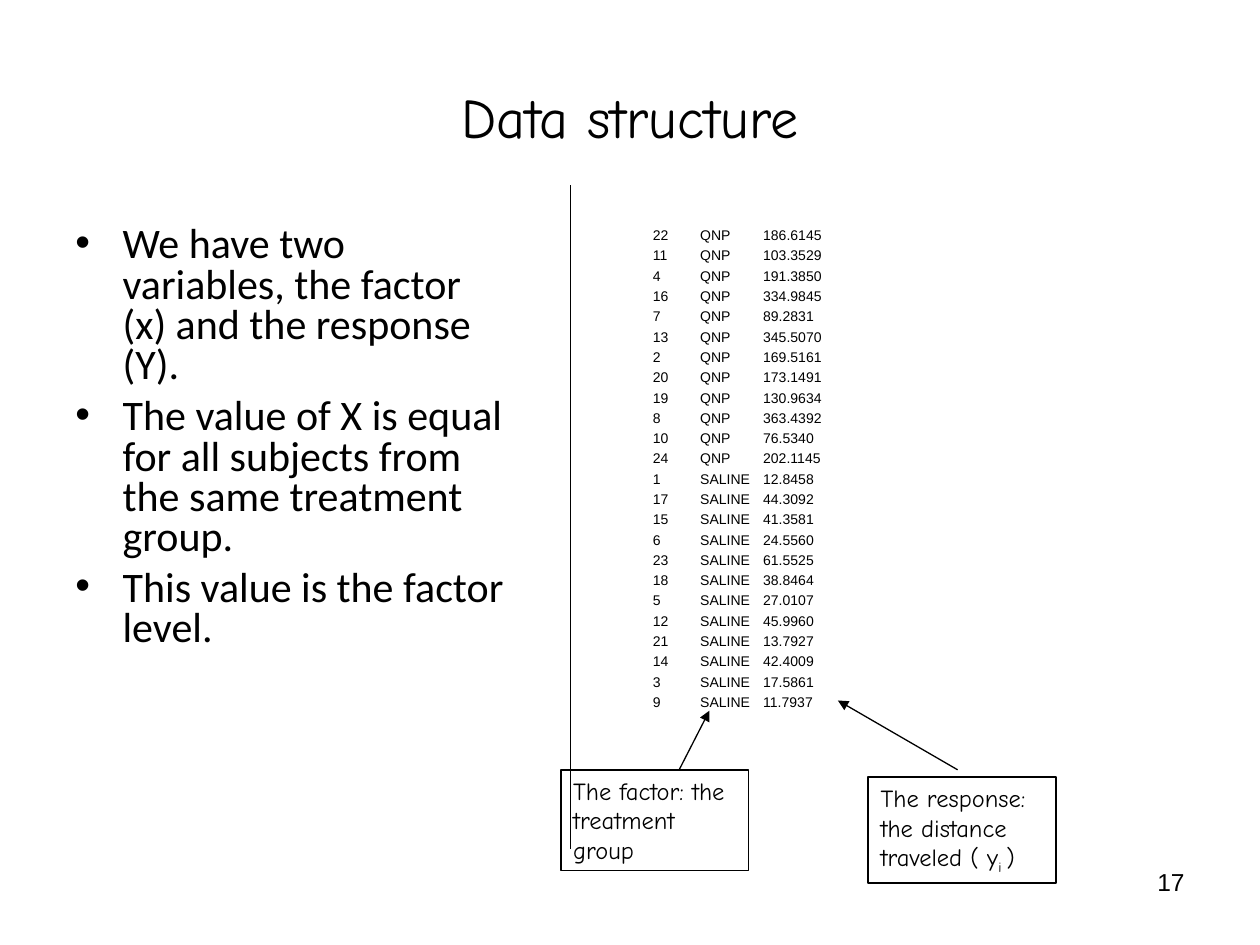
from lxml import etree
from pptx import Presentation
from pptx.dml.color import RGBColor
from pptx.enum.shapes import MSO_CONNECTOR, MSO_SHAPE
from pptx.enum.text import MSO_ANCHOR, MSO_AUTO_SIZE, PP_ALIGN
from pptx.oxml.ns import qn
from pptx.util import Pt

LINE = MSO_CONNECTOR.STRAIGHT
RECT = MSO_SHAPE.RECTANGLE
TOP, MID = MSO_ANCHOR.TOP, MSO_ANCHOR.MIDDLE
GROW = MSO_AUTO_SIZE.SHAPE_TO_FIT_TEXT
LEFT, MIDST, RIGHT = PP_ALIGN.LEFT, PP_ALIGN.CENTER, PP_ALIGN.RIGHT

POINTS = [
    "We have two variables, the factor (x) and the response (Y).",
    "The value of X is equal for all subjects from the same treatment group.",
    "This value is the factor level.",
]
GROUPS = {
    "QNP": (74.2, [
        (22, "186.6145"), (11, "103.3529"), (4, "191.3850"), (16, "334.9845"),
        (7, "89.2831"), (13, "345.5070"), (2, "169.5161"), (20, "173.1491"),
        (19, "130.9634"), (8, "363.4392"), (10, "76.5340"), (24, "202.1145"),
    ]),
    "SALINE": (72, [
        (1, "12.8458"), (17, "44.3092"), (15, "41.3581"), (6, "24.5560"),
        (23, "61.5525"), (18, "38.8464"), (5, "27.0107"), (12, "45.9960"),
        (21, "13.7927"), (14, "42.4009"), (3, "17.5861"), (9, "11.7937"),
    ]),
}


def color(code):
    return RGBColor.from_string(code)


def child(node, tag, **attrs):
    return etree.SubElement(node, qn(tag), attrs)


class Page:
    """Holds the style and the current slide."""

    ink = "000000"
    head = "Comic Neue"
    body = "Calibri"
    plain = "Arial"
    hang = 27

    def __init__(self, slide):
        self.slide = slide

    def frame(self, x, y, w, h, anchor=TOP):
        frame = self.slide.shapes.add_textbox(Pt(x), Pt(y), Pt(w), Pt(h)).text_frame
        frame.word_wrap = True
        frame.vertical_anchor = anchor
        return frame

    def para(self, frame, first, align=LEFT, before=0):
        para = frame.paragraphs[0] if first else frame.add_paragraph()
        para.alignment = align
        para.space_before = Pt(before)
        return para

    def run(self, para, text, font, size, base=0):
        run = para.add_run()
        run.text = text
        run.font.name = font
        run.font.size = Pt(size)
        run.font.color.rgb = color(self.ink)
        if base:
            run.font._element.set("baseline", str(base * 1000))

    def indent(self, para):
        props = para._p.get_or_add_pPr()
        props.set("marL", str(Pt(self.hang)))
        props.set("indent", str(-Pt(self.hang)))
        return props

    def label(self, text, box, font, size, align, anchor=TOP):
        para = self.para(self.frame(*box, anchor), True, align)
        self.run(para, text, font, size)

    def bullets(self, items, box):
        frame = self.frame(*box)
        for i, text in enumerate(items):
            para = self.para(frame, i == 0, before=6)
            para.line_spacing = 0.8
            props = self.indent(para)
            child(props, "a:buFont", typeface=self.plain)
            child(props, "a:buChar", char="•")
            self.run(para, text, self.body, 24)

    def listing(self, groups, box):
        frame = self.frame(*box)
        rows = [(key, stop, *row) for key, (stop, data) in groups.items() for row in data]
        for i, (key, stop, num, value) in enumerate(rows):
            para = self.para(frame, i == 0, before=2)
            tabs = child(self.indent(para), "a:tabLst")
            for pos in (0, stop):
                child(tabs, "a:tab", pos=str(Pt(pos)), algn="l")
            self.run(para, f"{num}\t{key}\t{value}", self.plain, 8)

    def note(self, parts, box):
        shape = self.slide.shapes.add_shape(RECT, *map(Pt, box))
        shape.shadow.inherit = False
        shape.fill.background()
        shape.line.color.rgb = color(self.ink)
        shape.line.width = Pt(1)
        frame = shape.text_frame
        frame.word_wrap = True
        frame.auto_size = GROW
        frame.vertical_anchor = TOP
        para = self.para(frame, True, before=8.8)
        for text, base in parts:
            self.run(para, text, self.head, 14, base)

    def line(self, x1, y1, x2, y2, arrow=False):
        line = self.slide.shapes.add_connector(LINE, Pt(x1), Pt(y1), Pt(x2), Pt(y2))
        line.line.color.rgb = color(self.ink)
        line.line.width = Pt(0.75)
        if arrow:
            child(line.line._get_or_add_ln(), "a:tailEnd", type="triangle")
        child(line._element.spPr, "a:effectLst")


def main():
    deck = Presentation()
    deck.slide_width, deck.slide_height = Pt(720), Pt(540)
    page = Page(deck.slides.add_slide(deck.slide_layouts[6]))
    page.label("Data structure", (36, 21.6, 648, 90), page.head, 32, MIDST, MID)
    page.bullets(POINTS, (36, 126, 261.4, 356.4))
    page.listing(GROUPS, (366, 126, 318, 356.4))
    page.line(326.2, 105.8, 326.2, 485.3)
    page.note([("The factor: the treatment group", 0)], (320.4, 439.9, 107.3, 57.6))
    page.note(
        [("The response: the distance traveled ( y", 0), ("i ", -25), (")", 0)],
        (496.1, 444.2, 107.3, 60.5),
    )
    page.line(388.1, 439.9, 405.4, 406.1, arrow=True)
    page.line(547.2, 439.9, 478.8, 400.3, arrow=True)
    page.label("17", (516.2, 491.8, 167.8, 37.4), page.plain, 14, RIGHT)
    deck.save("out.pptx")


if __name__ == "__main__":
    main()
